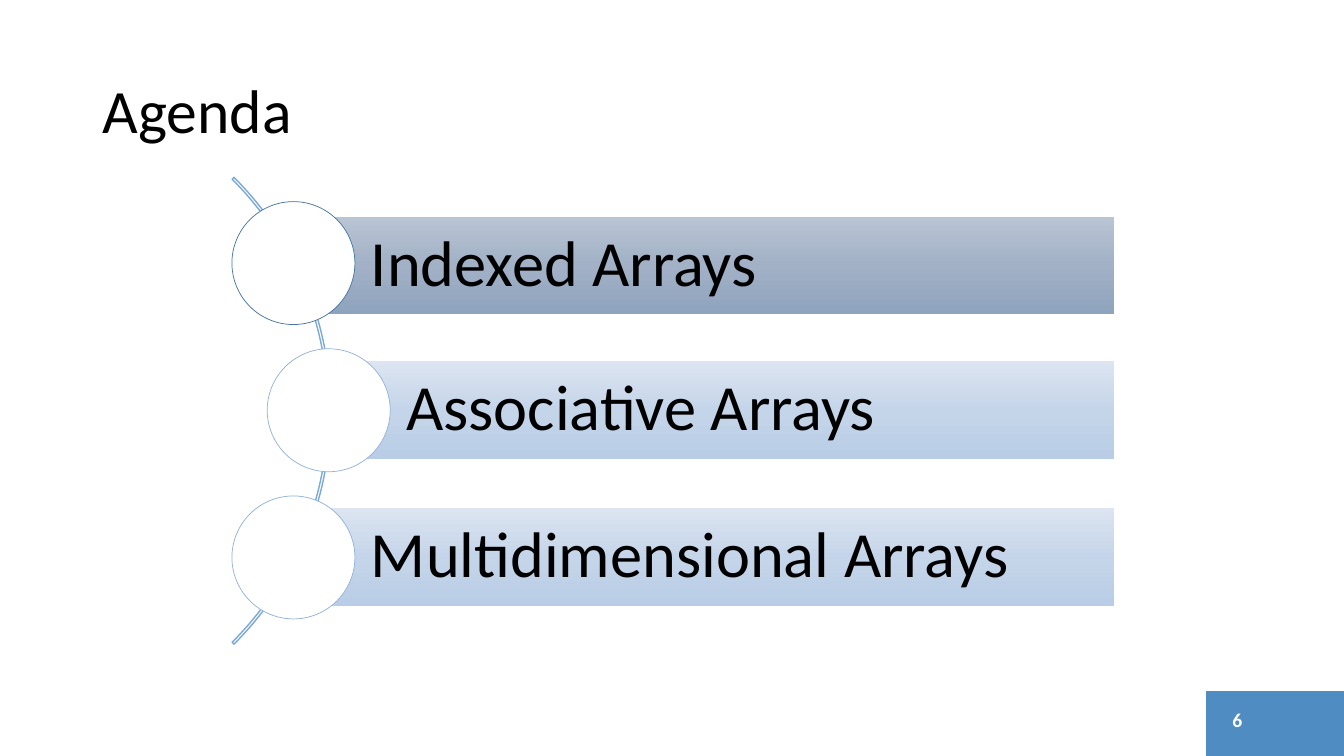
from copy import deepcopy
from dataclasses import dataclass

from pptx import Presentation
from pptx.dml.color import RGBColor
from pptx.enum.shapes import MSO_SHAPE
from pptx.enum.text import MSO_ANCHOR, MSO_AUTO_SIZE, PP_ALIGN
from pptx.oxml.ns import qn
from pptx.util import Pt

RECTANGLE, OVAL, BLOCK_ARC = MSO_SHAPE.RECTANGLE, MSO_SHAPE.OVAL, MSO_SHAPE.BLOCK_ARC
LEFT, RIGHT = PP_ALIGN.LEFT, PP_ALIGN.RIGHT
MIDDLE = MSO_ANCHOR.MIDDLE
NO_AUTOFIT = MSO_AUTO_SIZE.NONE

EMU_PER_PX = 9144  # 100 px to the inch
TITLE_ONLY_LAYOUT = 5


@dataclass(frozen=True)
class Theme:
    font: str = "Calibri"
    title_size: int = 44
    item_size: int = 46
    number_size: int = 14
    text: str = "000000"
    white: str = "FFFFFF"
    corner: str = "4F8CC2"
    arc: str = "7AA9DA"
    current_bar: tuple = ("B9C4D4", "A2B1C6", "8EA3BD")
    current_ring: str = "43739E"
    other_bar: tuple = ("DCE5F1", "C5D5E9", "B9CDE6")
    other_ring: str = "91B1D6"


def px(length):
    return length * EMU_PER_PX


def rgb(color):
    return RGBColor.from_string(color)


class AgendaSlide:
    def __init__(self, presentation, theme):
        self.theme = theme
        layout = presentation.slide_layouts[TITLE_ONLY_LAYOUT]
        self.slide = presentation.slides.add_slide(layout)

    def set_text(self, shape, text, size, color, align=LEFT, bold=False):
        frame = shape.text_frame
        frame.text = text
        frame.word_wrap = True
        frame.auto_size = NO_AUTOFIT
        frame.vertical_anchor = MIDDLE
        paragraph = frame.paragraphs[0]
        paragraph.alignment = align
        paragraph.line_spacing = 0.9
        font = paragraph.font
        font.name, font.size, font.bold = self.theme.font, Pt(size), bold
        font.color.rgb = rgb(color)

    def title(self, text, left, top, width, height):
        title = self.slide.shapes.title
        title.left, title.top = px(left), px(top)
        title.width, title.height = px(width), px(height)
        self.set_text(title, text, self.theme.title_size, self.theme.text)

    def number(self, text, left, top, width, height):
        box = self.slide.shapes.add_textbox(px(left), px(top), px(width), px(height))
        self.set_text(box, text, self.theme.number_size, self.theme.white, RIGHT, True)

    def shape(self, kind, left, top, width, height, fill=None, line=None, weight=1):
        shape = self.slide.shapes.add_shape(kind, px(left), px(top), px(width), px(height))
        shape.shadow.inherit = False
        if fill:
            shape.fill.solid()
            shape.fill.fore_color.rgb = rgb(fill)
        else:
            shape.fill.background()
        if line:
            shape.line.color.rgb = rgb(line)
            shape.line.width = Pt(weight)
        else:
            shape.line.fill.background()
        return shape

    def arc(self, left, top, diameter):
        arc = self.shape(BLOCK_ARC, left, top, diameter, diameter, line=self.theme.arc)
        for index, value in enumerate((189, 27, 0.004)):
            arc.adjustments[index] = value

    def bar(self, text, left, top, width, height, colors):
        bar = self.shape(RECTANGLE, left, top, width, height)
        self.fill_downwards(bar, colors)
        frame = bar.text_frame
        frame.margin_left = px(77)
        frame.margin_top = frame.margin_right = frame.margin_bottom = px(13)
        self.set_text(bar, text, self.theme.item_size, self.theme.text)

    def fill_downwards(self, shape, colors):
        """Fill with three evenly spaced gradient colours, first one on top."""
        fill = shape.fill
        fill.gradient()
        fill.gradient_angle = 270
        stop_list = shape.element.spPr.find(qn("a:gradFill")).find(qn("a:gsLst"))
        stop_list.insert(1, deepcopy(stop_list[0]))
        for index, (stop, color) in enumerate(zip(fill.gradient_stops, colors)):
            stop.position = index / 2
            stop.color.rgb = rgb(color)


def main():
    presentation = Presentation()
    presentation.slide_width, presentation.slide_height = px(1333), px(750)
    theme = Theme()
    agenda = AgendaSlide(presentation, theme)

    agenda.shape(RECTANGLE, 1197, 686, 136, 64, theme.corner, theme.corner)
    agenda.title("Agenda", 92, 40, 1150, 145)
    agenda.number("6", 942, 695, 300, 40)
    agenda.arc(-327, 80, 655)

    diameter, first_top, pitch = 122, 200, 146
    bar_right, bar_height = 1105, 97
    current = (theme.current_bar, theme.current_ring)
    other = (theme.other_bar, theme.other_ring)
    items = (
        ("Indexed Arrays", 230, 215, current),
        ("Associative Arrays", 265, 358, other),
        ("Multidimensional Arrays", 230, 504, other),
    )
    for index, (text, circle_left, bar_top, (bar_colors, ring)) in enumerate(items):
        bar_left = circle_left + diameter // 2
        agenda.bar(text, bar_left, bar_top, bar_right - bar_left, bar_height, bar_colors)
        agenda.shape(OVAL, circle_left, first_top + index * pitch, diameter, diameter,
                     theme.white, ring, 0.5)

    presentation.save("out.pptx")


if __name__ == "__main__":
    main()
